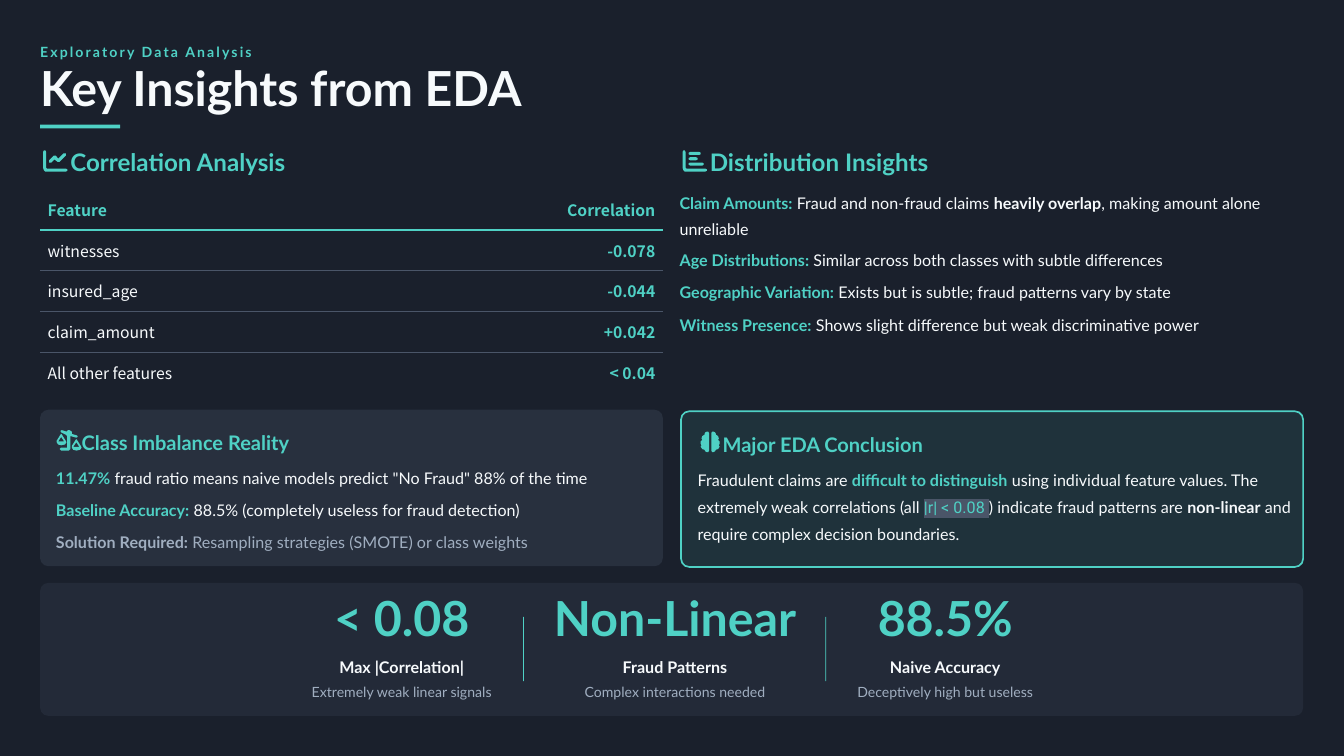
from lxml import etree
from pptx import Presentation
from pptx.dml.color import RGBColor
from pptx.enum.shapes import MSO_SHAPE
from pptx.enum.text import MSO_ANCHOR, PP_ALIGN
from pptx.oxml.ns import qn
from pptx.util import Inches, Pt

RECT, ROUND = MSO_SHAPE.RECTANGLE, MSO_SHAPE.ROUNDED_RECTANGLE
MIDDLE = MSO_ANCHOR.MIDDLE
LEFT, CENTER, RIGHT = PP_ALIGN.LEFT, PP_ALIGN.CENTER, PP_ALIGN.RIGHT
HEX = {"night": "1A202C", "teal": "4FD1C5", "white": "F7FAFC", "slate": "4A5568", "gray": "A0AEC0"}

prs = Presentation()
prs.slide_width, prs.slide_height = Inches(17.78), Inches(10)
slide = prs.slides.add_slide(prs.slide_layouts[6])
slide.background.fill.solid()
slide.background.fill.fore_color.rgb = RGBColor.from_string(HEX["night"])
shapes = slide.shapes


def write(x, y, w, h, size, lead, runs, align=LEFT):
    frame = shapes.add_textbox(Inches(x), Inches(y), Inches(w), Inches(h)).text_frame
    frame.word_wrap = True
    frame.vertical_anchor = MIDDLE
    frame.margin_left = frame.margin_right = frame.margin_top = frame.margin_bottom = 0
    para = frame.paragraphs[0]
    para.alignment = align
    para.line_spacing = lead
    for text, color, bold in runs:
        run = para.add_run()
        run.text = text
        run.font.name = "Lato"
        run.font.size = Pt(size)
        run.font.bold = bold
        run.font.color.rgb = RGBColor.from_string(HEX[color])
    return para


def paint(shape, color, alpha=100):
    shape.shadow.inherit = False
    shape.fill.solid()
    shape.fill.fore_color.rgb = RGBColor.from_string(HEX[color])
    shape.line.fill.background()
    if alpha < 100:
        tint = shape.fill._xPr.find(qn("a:solidFill"))[0]
        etree.SubElement(tint, qn("a:alpha"), val=str(alpha * 1000))


title = write(0.53, 0.53, 16.81, 0.27, 13.4, 1.2, [("Exploratory Data Analysis", "teal", True)])
title.runs[0]._r.get_or_add_rPr().set("spc", "200")
write(0.53, 0.9, 17.03, 0.64, 46, 0.8, [("Key Insights from EDA", "white", True)])
paint(shapes.add_shape(RECT, Inches(0.53), Inches(1.65), Inches(1.06), Inches(0.05)), "teal")

cards = [
    (0.53, 5.42, 8.24, 2.07, "slate", 30),
    (9.01, 5.44, 8.23, 2.06, "teal", 10),
    (0.53, 7.71, 16.71, 1.76, "slate", 20),
]
for x, y, w, h, color, alpha in cards:
    card = shapes.add_shape(ROUND, Inches(x), Inches(y), Inches(w), Inches(h))
    card.adjustments[0] = 0.11 / h
    paint(card, color, alpha)
    if color == "teal":
        card.line.color.rgb = RGBColor.from_string(HEX["teal"])
        card.line.width = Pt(1.6)

axis = [(61, 201), (60, 199), (58, 199), (57, 201), (57, 222), (58, 225), (60, 227), (62, 227),
        (87, 227), (89, 226), (89, 224), (87, 223), (62, 223), (61, 222)]
trend = [(87, 206), (87, 203), (84, 203), (77, 210), (74, 206), (71, 206), (65, 212), (65, 215),
         (68, 215), (72, 211), (76, 214), (79, 214)]
bars = [[(913, y), (end - 2, y), (end, y + 1), (end, y + 3), (end - 2, y + 4), (913, y + 4),
         (911, y + 3), (911, y + 1)] for y, end in [(201, 927), (208, 923), (215, 931)]]
beam = [(81, 572), (80, 570), (82, 569), (88, 571), (90, 569), (92, 569), (95, 571), (95, 574),
        (102, 576), (103, 578), (101, 579), (94, 577), (93, 577), (93, 594), (91, 596), (81, 596),
        (79, 594), (81, 592), (89, 592), (89, 577), (87, 575)]
pan = [(81, 589), (77, 588), (75, 585), (75, 583), (80, 575), (81, 574), (82, 575), (87, 583),
       (88, 585), (86, 588)]
hole = [(85, 584), (81, 578), (77, 584)]
lobe = [(932, 574), (933, 572), (935, 571), (937, 571), (938, 573), (938, 596), (937, 598),
        (935, 598), (933, 597), (932, 595), (929, 594), (927, 591), (928, 589), (927, 587),
        (927, 584), (929, 582), (928, 580), (929, 577), (932, 575)]
icons = [
    [axis, trend],
    [[(x + 846, y) for x, y in axis]] + bars,
    [beam, pan, hole] + [[(x + 20, y + 7) for x, y in part] for part in (pan, hole)],
    [lobe, [(1879 - x, y) for x, y in lobe]],
]
for icon in icons:
    pen = shapes.build_freeform(*icon[0][0], scale=Inches(0.01))
    for part in icon:
        pen.move_to(*part[0])
        pen.add_line_segments(part[1:], close=True)
    paint(pen.convert_to_shape(), "teal")

heads = [
    (0.93, 1.91, 8, 0.43, 23, 1.1, "Correlation Analysis"),
    (9.39, 1.91, 8, 0.43, 23, 1.1, "Distribution Insights"),
    (1.08, 5.64, 7.62, 0.37, 19.1, 1.2, "Class Imbalance Reality"),
    (9.56, 5.66, 7.58, 0.37, 19.1, 1.2, "Major EDA Conclusion"),
]
for *spot, text in heads:
    write(*spot, [(text, "teal", True)])

rows = [
    ("Feature", "Correlation"),
    ("witnesses", "-0.078"),
    ("insured_age", "-0.044"),
    ("claim_amount", "+0.042"),
    ("All other features", "< 0.04"),
]
table = shapes.add_table(5, 2, Inches(0.53), Inches(2.5), Inches(8.24), Inches(2.71)).table
table.first_row = table.horz_banding = False
table.columns[0].width, table.columns[1].width = Inches(4.99), Inches(3.25)
rules = [None, ("teal", 1.6)] + [("slate", 0.8)] * 3 + [None]
for i, row in enumerate(rows):
    table.rows[i].height = Inches(0.54)
    for j, text in enumerate(row):
        cell = table.cell(i, j)
        cell.text = text
        cell.vertical_anchor = MIDDLE
        para = cell.text_frame.paragraphs[0]
        para.alignment = RIGHT if j else LEFT
        lit = i == 0 or j == 1
        font = para.runs[0].font
        font.name = "Noto Sans CJK SC"
        font.size = Pt(15)
        font.bold = lit
        font.color.rgb = RGBColor.from_string(HEX["teal" if lit else "white"])
        props = cell._tc.get_or_add_tcPr()
        for side, rule in [("L", None), ("R", None), ("T", rules[i]), ("B", rules[i + 1])]:
            edge = etree.SubElement(props, qn("a:ln" + side))
            if rule:
                edge.set("w", str(Pt(rule[1])))
                ink = etree.SubElement(edge, qn("a:solidFill"))
                etree.SubElement(ink, qn("a:srgbClr"), val=HEX[rule[0]])
            else:
                etree.SubElement(edge, qn("a:noFill"))
        cell.fill.background()

write(8.99, 2.5, 8.35, 0.64, 15.3, 1.3, [
    ("Claim Amounts:", "teal", True),
    (" Fraud and non-fraud claims ", "white", False),
    ("heavily overlap", "white", True),
    (", making amount alone unreliable", "white", False),
])
notes = [
    (8.99, 3.24, 8.35, "teal", "white", [
        ("Age Distributions:", " Similar across both classes with subtle differences"),
        ("Geographic Variation:", " Exists but is subtle; fraud patterns vary by state"),
        ("Witness Presence:", " Shows slight difference but weak discriminative power"),
    ]),
    (0.74, 6.12, 7.92, "teal", "white", [
        ("11.47%", ' fraud ratio means naive models predict "No Fraud" 88% of the time'),
        ("Baseline Accuracy:", " 88.5% (completely useless for fraud detection)"),
    ]),
    (0.74, 6.97, 7.92, "gray", "gray", [
        ("Solution Required:", " Resampling strategies (SMOTE) or class weights"),
    ]),
]
for x, y, w, key, tone, lines in notes:
    for i, (head, rest) in enumerate(lines):
        write(x, y + 0.43 * i, w, 0.32, 15.3, 1.3, [(head, key, True), (rest, tone, False)])

para = write(9.23, 6.14, 7.88, 1.04, 15.3, 1.4, [
    ("Fraudulent claims are ", "white", False),
    ("difficult to distinguish", "teal", True),
    (" using individual feature values. The extremely weak correlations (all ", "white", False),
    ("|r| < 0.08 ", "teal", False),
    (") indicate fraud patterns are ", "white", False),
    ("non-linear", "white", True),
    (" and require complex decision boundaries.", "white", False),
])
code = para.runs[3]
code.font.name = "Roboto"
mark = etree.Element(qn("a:highlight"))
etree.SubElement(mark, qn("a:srgbClr"), val=HEX["slate"])
code._r.get_or_add_rPr().find(qn("a:solidFill")).addnext(mark)

stats = [
    (2.69, "< 0.08", "Max |Correlation|", "Extremely weak linear signals"),
    (3.46, "Non-Linear", "Fraud Patterns", "Complex interactions needed"),
    (2.61, "88.5%", "Naive Accuracy", "Deceptively high but useless"),
]
x = 3.97
for i, (w, value, label, note) in enumerate(stats):
    if i:
        paint(shapes.add_shape(RECT, Inches(x - 0.28), Inches(8.16), Inches(0.01), Inches(0.85)), "teal")
    write(x, 7.92, w, 0.64, 46, 0.8, [(value, "teal", True)], CENTER)
    write(x + 0.11, 8.62, w - 0.22, 0.32, 15.3, 1.3, [(label, "white", True)], CENTER)
    write(x + 0.11, 8.99, w - 0.22, 0.27, 13.4, 1.2, [(note, "gray", False)], CENTER)
    x += w + 0.54

prs.save("out.pptx")
